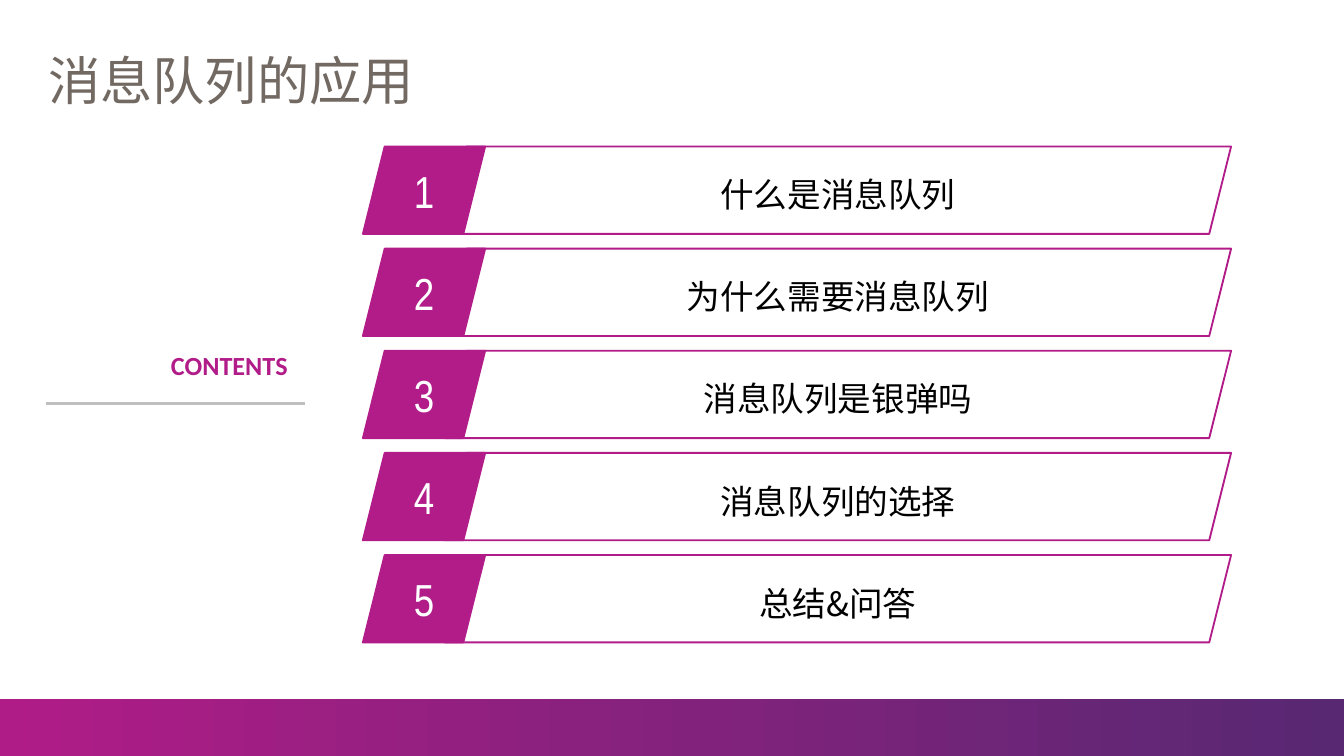
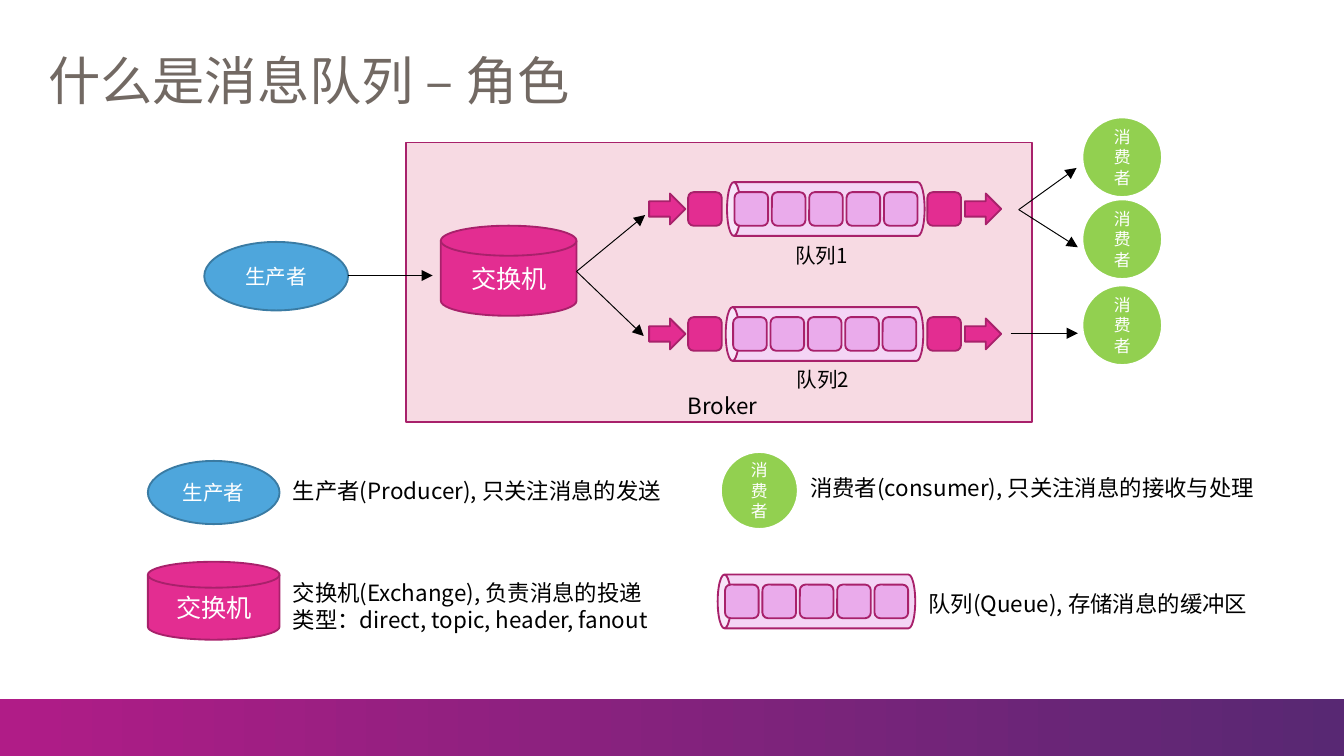
from lxml import etree
from pptx import Presentation
from pptx.dml.color import RGBColor
from pptx.enum.shapes import MSO_CONNECTOR, MSO_SHAPE
from pptx.enum.text import MSO_ANCHOR, MSO_AUTO_SIZE, PP_ALIGN
from pptx.oxml.ns import qn
from pptx.util import Inches, Pt

LEFT, CENTER, RIGHT = PP_ALIGN.LEFT, PP_ALIGN.CENTER, PP_ALIGN.RIGHT
MIDDLE, GROW = MSO_ANCHOR.MIDDLE, MSO_AUTO_SIZE.SHAPE_TO_FIT_TEXT
RECTANGLE, SLANTED = MSO_SHAPE.RECTANGLE, MSO_SHAPE.PARALLELOGRAM
ELLIPSE, DISK = MSO_SHAPE.OVAL, MSO_SHAPE.FLOWCHART_MAGNETIC_DISK
CAN, ROUNDED, BLOCK_ARROW = MSO_SHAPE.CAN, MSO_SHAPE.ROUNDED_RECTANGLE, MSO_SHAPE.RIGHT_ARROW
STRAIGHT = MSO_CONNECTOR.STRAIGHT

WHITE = RGBColor(0xFF, 0xFF, 0xFF)
BLACK = RGBColor(0x00, 0x00, 0x00)
TITLE_GREY = RGBColor(0x72, 0x69, 0x63)
RULE_GREY = RGBColor(0xBF, 0xBF, 0xBF)
BAND_START = RGBColor(0xB0, 0x1C, 0x87)
BAND_END = RGBColor(0x58, 0x28, 0x73)
MAGENTA = RGBColor(0xB1, 0x1C, 0x89)
PINK = RGBColor(0xE3, 0x2D, 0x91)
PINK_EDGE = RGBColor(0xA8, 0x21, 0x6B)
BROKER_PINK = RGBColor(0xF7, 0xDA, 0xE3)
QUEUE_LILAC = RGBColor(0xF4, 0xD5, 0xF5)
SLOT_LILAC = RGBColor(0xEA, 0xAB, 0xEB)
BLUE = RGBColor(0x4E, 0xA6, 0xDC)
BLUE_EDGE = RGBColor(0x3A, 0x7B, 0xA3)
GREEN = RGBColor(0x92, 0xD0, 0x50)

CJK = "Noto Sans CJK SC"
CELL = Inches(0.1)  # the slide is a grid of 100 columns and 56.25 rows
COLUMNS, ROWS = 100, 56.25

# Text styles
TITLE = {"size": Pt(28), "name": CJK}
NUMBER = {"size": Pt(24), "name": "Arial Narrow"}
TOPIC = {"size": Pt(18), "name": CJK}
CONTENTS = {"size": Pt(14), "name": "Calibri", "bold": True}
EXCHANGE = {"size": Pt(13.5), "name": "Calibri"}
NOTE = {"size": Pt(12), "name": CJK}
SMALL = {"size": Pt(11), "name": CJK}
TINY = {"size": Pt(9), "name": CJK}


def write(frame, text, style, color, align=LEFT, spacing=None):
    frame.text = text
    for paragraph in frame.paragraphs:
        paragraph.alignment = align
        paragraph.line_spacing = spacing
        run = paragraph.runs[0]
        for attribute, value in style.items():
            setattr(run.font, attribute, value)
        run.font.color.rgb = color
        etree.SubElement(run._r.get_or_add_rPr(), qn("a:ea"), typeface=CJK)


def draw(slide, preset, box, fill=None, edge=None, weight=1):
    """Place a preset shape, or a text box when preset is None."""
    place = [round(cells * CELL) for cells in box]
    if preset is None:
        part = slide.shapes.add_textbox(*place)
        part.text_frame.auto_size = GROW
    else:
        part = slide.shapes.add_shape(preset, *place)
        part.shadow.inherit = False
        part.text_frame.vertical_anchor = MIDDLE
        for paint, color in ((part.fill, fill), (part.line.fill, edge)):
            if color is None:
                paint.background()
            else:
                paint.solid()
                paint.fore_color.rgb = color
        if edge is not None:
            part.line.width = Pt(weight)
    part.text_frame.word_wrap = True
    return part


prs = Presentation()
prs.slide_width = round(COLUMNS * CELL)
prs.slide_height = round(ROWS * CELL)
title_only = prs.slide_layouts[5]

# Slides and their titles
slides = []
for heading in ("消息队列的应用", "什么是消息队列 – 角色"):
    slide = prs.slides.add_slide(title_only)
    title = slide.shapes.title
    for attribute, cells in {"left": 2.6, "top": 2.5, "width": 95.3, "height": 7.5}.items():
        setattr(title, attribute, round(cells * CELL))
    title.text_frame.vertical_anchor = MIDDLE
    write(title.text_frame, heading, TITLE, TITLE_GREY, spacing=0.9)
    slides.append(slide)
agenda, roles = slides

# Gradient band, shared through the layout
band = draw(agenda, RECTANGLE, (0, 52, COLUMNS, ROWS - 52))
band.fill.gradient()
band.fill.gradient_angle = 0
for stop, color, position in zip(band.fill.gradient_stops, (BAND_START, BAND_END), (0, 1)):
    stop.color.rgb = color
    stop.position = position
title_only.shapes._spTree.insert(2, band._element)

# Agenda rows
topics = ("什么是消息队列", "为什么需要消息队列", "消息队列是银弹吗", "消息队列的选择", "总结&问答")
for index, topic in enumerate(topics):
    top = 10.9 + 7.6 * index
    number = draw(agenda, SLANTED, (27, top, 9.1, 6.5), MAGENTA, MAGENTA)
    number.text_frame.word_wrap = False
    write(number.text_frame, str(index + 1), NUMBER, WHITE, CENTER)
    bar = draw(agenda, SLANTED, (33.1, top, 58.5, 6.5), edge=MAGENTA)
    write(bar.text_frame, topic, TOPIC, BLACK, CENTER, 1.2)

contents = draw(agenda, None, (6.5, 25.5, 15.9, 3.4))
write(contents.text_frame, "CONTENTS", CONTENTS, MAGENTA, RIGHT)

# Broker area
draw(roles, RECTANGLE, (30.2, 10.6, 46.6, 20.8), BROKER_PINK, PINK_EDGE)

# Producers, exchanges and consumers, in the diagram and in the legend
actors = (
    ("生产者", ELLIPSE, BLUE, BLUE_EDGE, 1, SMALL,
     ((15.2, 18, 10.7, 5.1), (11, 34.3, 9.8, 4.7))),
    ("交换机", DISK, PINK, PINK_EDGE, 1, EXCHANGE,
     ((32.8, 16.8, 10.1, 6.7), (11, 41.8, 9.8, 5.8))),
    ("消费者", ELLIPSE, GREEN, WHITE, 1.5, TINY,
     ((80.5, 8.7, 6, 6), (80.5, 14.8, 6, 6), (80.5, 21.2, 6, 6), (53.6, 33.6, 5.8, 5.8))),
)
for role, preset, fill, edge, weight, style, boxes in actors:
    for box in boxes:
        actor = draw(roles, preset, box, fill, edge, weight)
        write(actor.text_frame, role, style, WHITE, CENTER)

# Queues with five slots: two in the broker, one in the legend
for left, middle, in_broker in ((54.1, 15.55, True), (54, 24.85, True), (53.4, 44.75, False)):
    pipe = draw(roles, CAN, (left + 5.35, middle - 7.35, 4, 14.7), QUEUE_LILAC, PINK_EDGE)
    pipe.rotation = 270
    for slot in range(5):
        draw(roles, ROUNDED, (left + 0.55 + 2.78 * slot, middle - 1.25, 2.5, 2.5),
             SLOT_LILAC, PINK_EDGE)
    if in_broker:
        for message_left, flow_left in ((51.2, 48.3), (69, 71.8)):
            draw(roles, ROUNDED, (message_left, middle - 1.25, 2.5, 2.5), PINK, PINK_EDGE)
            draw(roles, BLOCK_ARROW, (flow_left, middle - 1.15, 2.7, 2.3), PINK, PINK_EDGE)

# Captions and legend notes
captions = (
    ("队列1", SMALL, (58.2, 17.6, 6.2, 2.8)),
    ("队列2", SMALL, (58.3, 26.8, 6.2, 2.8)),
    ("Broker", NOTE, (50.2, 28.7, 7.6, 3)),
    ("生产者(Producer), 只关注消息的发送", NOTE, (20.8, 35, 35.2, 3)),
    ("消费者(consumer), 只关注消息的接收与处理", NOTE, (59.3, 34.8, 38.6, 3)),
    ("交换机(Exchange), 负责消息的投递\n类型：direct, topic, header, fanout", NOTE,
     (20.8, 42.6, 30.3, 5)),
    ("队列(Queue), 存储消息的缓冲区", NOTE, (68.1, 43.4, 27.4, 3)),
)
for text, style, box in captions:
    caption = draw(roles, None, box)
    write(caption.text_frame, text, style, BLACK)

# Rule under CONTENTS, then the message flow arrows
strokes = (
    (agenda, (3.4, 30, 22.7, 30), RULE_GREY, 1.5),
    (roles, (25.9, 20.5, 32.2, 20.5), BLACK, 0.5),
    (roles, (42.9, 20.2, 47.9, 25), BLACK, 0.5),
    (roles, (42.9, 20.2, 48, 16), BLACK, 0.5),
    (roles, (75.2, 24.8, 80.2, 24.8), BLACK, 0.5),
    (roles, (75.8, 15.6, 80.2, 18.4), BLACK, 0.5),
    (roles, (75.8, 15.6, 80.1, 12.5), BLACK, 0.5),
)
for slide, ends, color, weight in strokes:
    stroke = slide.shapes.add_connector(STRAIGHT, *[round(cells * CELL) for cells in ends])
    stroke.line.color.rgb = color
    stroke.line.width = Pt(weight)
    if slide is roles:
        etree.SubElement(stroke.line._get_or_add_ln(), qn("a:tailEnd"), type="triangle")
    etree.SubElement(stroke._element.spPr, qn("a:effectLst"))

prs.save("out.pptx")
